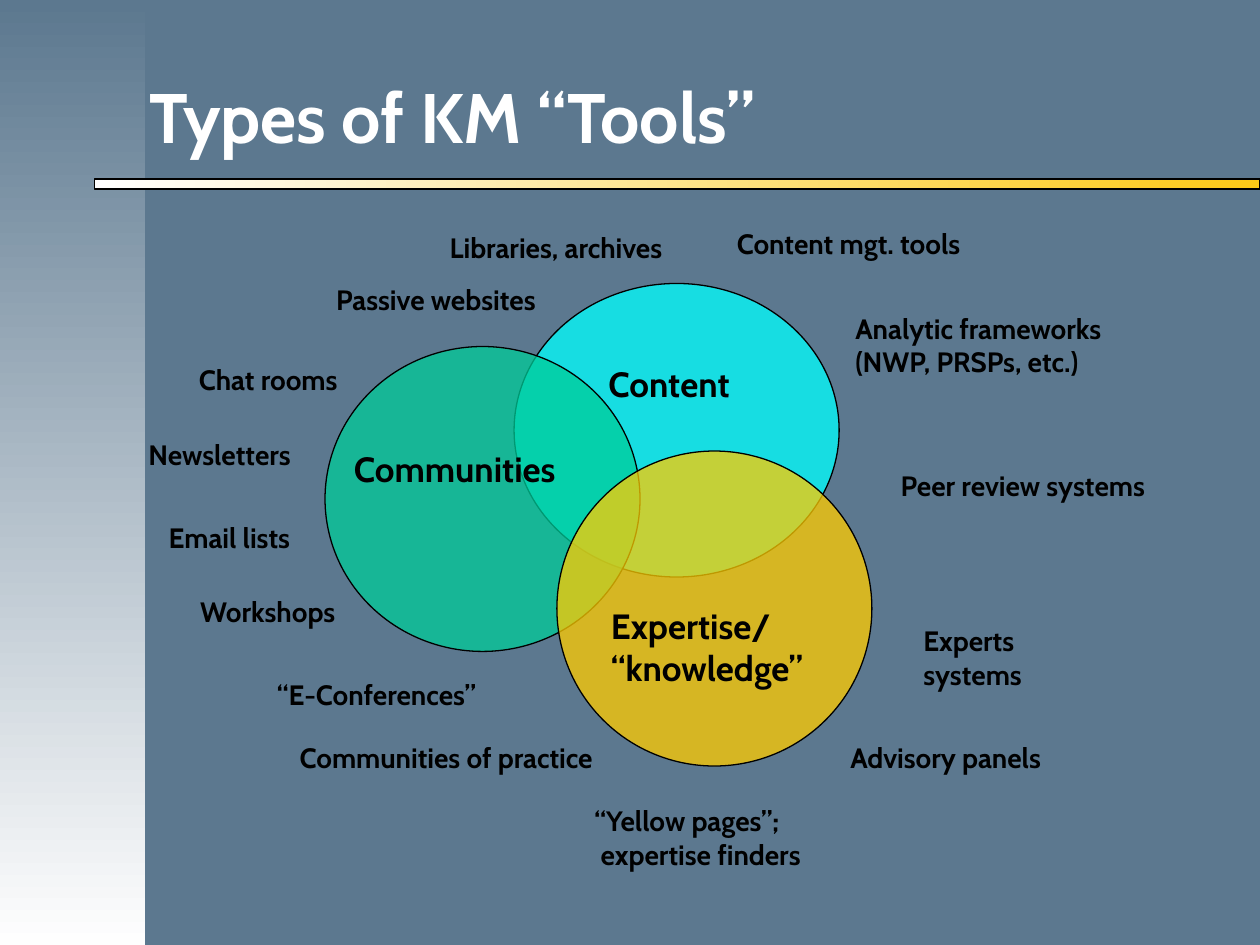
from lxml.etree import SubElement
from pptx import Presentation
from pptx.dml.color import RGBColor
from pptx.enum.shapes import MSO_SHAPE
from pptx.enum.text import MSO_ANCHOR, MSO_AUTO_SIZE
from pptx.oxml.ns import qn
from pptx.util import Inches, Pt

SLATE = RGBColor(0x5C, 0x78, 0x8F)
NEAR_WHITE = RGBColor(0xFE, 0xFE, 0xFE)
WHITE = RGBColor(0xFF, 0xFF, 0xFF)
BLACK = RGBColor(0x00, 0x00, 0x00)
GOLD = RGBColor(0xFC, 0xC9, 0x17)
CYAN = RGBColor(0x00, 0xFF, 0xFF)
GREEN = RGBColor(0x00, 0xCC, 0x99)
YELLOW = RGBColor(0xFF, 0xCC, 0x00)

CIRCLES = [
    ((4.08, 2.25, 2.58, 2.33), CYAN),
    ((2.58, 2.75, 2.5, 2.42), GREEN),
    ((4.42, 3.58, 2.5, 2.5), YELLOW),
]
TOPICS = [
    ("Communities", (2.71, 3.5, 2.05, 0.44), False),
    ("Content", (4.73, 2.83, 1.32, 0.44), False),
    ("Expertise/\n“knowledge”", (4.75, 4.75, 1.92, 1.1), True),
]
TOOLS = [
    ("Content mgt. tools", (5.75, 1.75, 2.33, 0.37), True),
    ("Email lists", (1.24, 4.08, 1.32, 0.37), False),
    ("Peer review systems", (7.05, 3.67, 2.46, 0.37), False),
    ("Passive websites", (2.57, 2.19, 2.05, 0.37), False),
    ("Libraries, archives", (3.47, 1.78, 2.22, 0.37), False),
    ("“E-Conferences”", (2.1, 5.33, 1.96, 0.37), False),
    ("Chat rooms", (1.48, 2.83, 1.48, 0.37), False),
    ("Communities of practice", (2.28, 5.83, 2.91, 0.37), False),
    ("Experts systems", (7.23, 4.9, 1.66, 0.64), True),
    ("Advisory panels", (6.65, 5.83, 1.94, 0.37), False),
    ("“Yellow pages”;\n expertise finders", (4.62, 6.33, 2.13, 0.64), False),
    ("Analytic frameworks\n(NWP, PRSPs, etc.)", (6.69, 2.42, 2.56, 0.64), False),
    ("Newsletters", (1.08, 3.42, 1.58, 0.37), True),
    ("Workshops", (1.49, 4.67, 1.43, 0.37), False),
]


def write_text(frame, text, size=16, color=BLACK, font="Cabin", bold=True):
    frame.text = text
    for paragraph in frame.paragraphs:
        paragraph.font.name = font
        paragraph.font.size = Pt(size)
        paragraph.font.bold = bold
        paragraph.font.color.rgb = color


class SlideBuilder:
    def __init__(self, slide, outline=BLACK, outline_width=0.75):
        self.slide = slide
        self.outline = outline
        self.outline_width = outline_width

    def background(self, color):
        fill = self.slide.background.fill
        fill.solid()
        fill.fore_color.rgb = color

    def shape(self, preset, box, outlined=True):
        shape = self.slide.shapes.add_shape(preset, *map(Inches, box))
        shape.shadow.inherit = False
        if outlined:
            shape.line.color.rgb = self.outline
            shape.line.width = Pt(self.outline_width)
        else:
            shape.line.fill.background()
        return shape

    def gradient_band(self, box, start, end, angle, outlined):
        fill = self.shape(MSO_SHAPE.RECTANGLE, box, outlined).fill
        fill.gradient()
        fill.gradient_angle = angle
        for stop, color in zip(fill.gradient_stops, (start, end)):
            stop.color.rgb = color

    def circle(self, box, color, opacity=75):
        circle = self.shape(MSO_SHAPE.OVAL, box)
        circle.fill.solid()
        circle.fill.fore_color.rgb = color
        solid = circle.element.spPr.find(qn("a:solidFill"))
        SubElement(solid[0], qn("a:alpha"), val=str(opacity * 1000))

    def label(self, text, box, wrap=False, anchor=MSO_ANCHOR.TOP,
              auto_size=MSO_AUTO_SIZE.SHAPE_TO_FIT_TEXT, **style):
        frame = self.slide.shapes.add_textbox(*map(Inches, box)).text_frame
        frame.word_wrap = wrap
        frame.auto_size = auto_size
        frame.vertical_anchor = anchor
        write_text(frame, text, **style)


def main():
    deck = Presentation()
    deck.slide_width, deck.slide_height = Inches(10), Inches(7.5)
    builder = SlideBuilder(deck.slides.add_slide(deck.slide_layouts[6]))

    builder.background(SLATE)
    builder.gradient_band((0, 0, 1.15, 7.5), SLATE, NEAR_WHITE, 270, False)
    builder.gradient_band((0.75, 1.42, 9.25, 0.08), WHITE, GOLD, 0, True)
    builder.label("Types of KM “Tools”", (1.09, 0.29, 8.5, 1.25), wrap=True,
                  anchor=MSO_ANCHOR.MIDDLE, auto_size=MSO_AUTO_SIZE.NONE,
                  size=40, color=WHITE)
    for box, color in CIRCLES:
        builder.circle(box, color)
    for labels, size in ((TOOLS, 16), (TOPICS, 20)):
        for text, box, wrap in labels:
            builder.label(text, box, wrap, size=size)

    deck.save("out.pptx")


if __name__ == "__main__":
    main()
